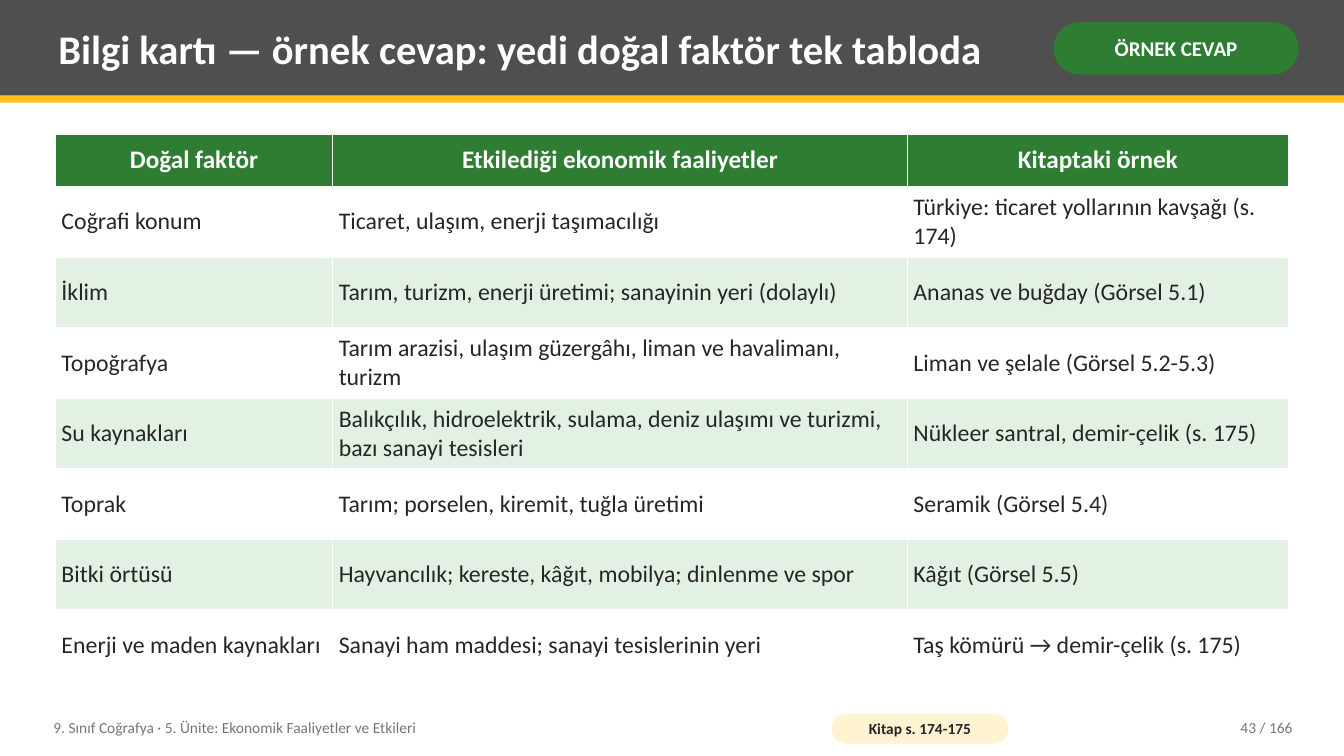
from lxml import etree
from pptx import Presentation
from pptx.dml.color import RGBColor
from pptx.enum.shapes import MSO_SHAPE
from pptx.enum.text import MSO_ANCHOR, MSO_AUTO_SIZE, PP_ALIGN
from pptx.oxml.ns import qn
from pptx.util import Inches, Pt

RECTANGLE, PILL = MSO_SHAPE.RECTANGLE, MSO_SHAPE.ROUNDED_RECTANGLE
MIDDLE, NO_AUTOFIT = MSO_ANCHOR.MIDDLE, MSO_AUTO_SIZE.NONE
LEFT, CENTER, RIGHT = PP_ALIGN.LEFT, PP_ALIGN.CENTER, PP_ALIGN.RIGHT
FONT = "Calibri"
COLORS = {
    "bar": "4F4F4F", "accent": "FCC021", "green": "2E7D32", "band": "E3F1E4",
    "cream": "FFF3D1", "white": "FFFFFF", "ink": "262626", "muted": "767676",
}
COLUMN_WIDTHS = [2.75, 5.7, 3.78]
HEADER_HEIGHT = 0.52
FACTOR_ROWS = [
    ("Doğal faktör", "Etkilediği ekonomik faaliyetler", "Kitaptaki örnek"),
    ("Coğrafi konum", "Ticaret, ulaşım, enerji taşımacılığı",
     "Türkiye: ticaret yollarının kavşağı (s. 174)"),
    ("İklim", "Tarım, turizm, enerji üretimi; sanayinin yeri (dolaylı)",
     "Ananas ve buğday (Görsel 5.1)"),
    ("Topoğrafya", "Tarım arazisi, ulaşım güzergâhı, liman ve havalimanı, turizm",
     "Liman ve şelale (Görsel 5.2-5.3)"),
    ("Su kaynakları",
     "Balıkçılık, hidroelektrik, sulama, deniz ulaşımı ve turizmi, bazı sanayi tesisleri",
     "Nükleer santral, demir-çelik (s. 175)"),
    ("Toprak", "Tarım; porselen, kiremit, tuğla üretimi", "Seramik (Görsel 5.4)"),
    ("Bitki örtüsü", "Hayvancılık; kereste, kâğıt, mobilya; dinlenme ve spor",
     "Kâğıt (Görsel 5.5)"),
    ("Enerji ve maden kaynakları", "Sanayi ham maddesi; sanayi tesislerinin yeri",
     "Taş kömürü → demir-çelik (s. 175)"),
]


def rgb(name):
    """Return the named palette colour."""
    return RGBColor.from_string(COLORS[name])


def write_text(text_frame, text, size, color, bold=False, align=LEFT):
    """Fill a text frame with one formatted paragraph."""
    text_frame.text = text
    text_frame.word_wrap = True
    paragraph = text_frame.paragraphs[0]
    paragraph.alignment = align
    font = paragraph.runs[0].font
    font.name, font.size, font.bold = FONT, Pt(size), bold
    font.color.rgb = rgb(color)


def set_margins(holder, horizontal, vertical):
    """Centre text vertically and set the insets of a frame or cell."""
    holder.vertical_anchor = MIDDLE
    holder.margin_left = holder.margin_right = Inches(horizontal)
    holder.margin_top = holder.margin_bottom = Inches(vertical)


def add_block(slide, kind, box, color):
    """Add a plain filled shape."""
    shape = slide.shapes.add_shape(kind, *map(Inches, box))
    shape.shadow.inherit = False
    shape.fill.solid()
    shape.fill.fore_color.rgb = rgb(color)
    shape.line.fill.background()
    return shape


def add_pill(slide, box, text, size, fill, color, margins):
    """Add a fully rounded label."""
    pill = add_block(slide, PILL, box, fill)
    pill.adjustments[0] = 0.5
    write_text(pill.text_frame, text, size, color, True, CENTER)
    set_margins(pill.text_frame, *margins)


def add_label(slide, box, text, align=LEFT):
    """Add a small muted footer text."""
    frame = slide.shapes.add_textbox(*map(Inches, box)).text_frame
    write_text(frame, text, 11, "muted", align=align)
    set_margins(frame, 0.08, 0.04)


def add_header(slide, box):
    """Place the title bar, accent stripe, title and badge."""
    left, top, width, height = box
    bar = add_block(slide, RECTANGLE, box, "bar")
    stripe = add_block(slide, RECTANGLE, (left, top + height, width, 0.07), "accent")
    title = slide.shapes.title
    for shape in (bar, stripe):
        title._element.addprevious(shape._element)
    title.left, title.top = Inches(left + 0.5), Inches(top + 0.07)
    title.width, title.height = Inches(9.75), Inches(0.82)
    write_text(title.text_frame, "Bilgi kartı — örnek cevap: yedi doğal faktör tek tabloda",
               29, "white", True)
    set_margins(title.text_frame, 0.08, 0.04)
    title.text_frame.auto_size = NO_AUTOFIT
    title.text_frame.paragraphs[0].line_spacing = 1.0
    add_pill(slide, (left + width - 2.88, top + 0.22, 2.43, 0.52), "ÖRNEK CEVAP",
             15, "green", "white", (0.05, 0.02))


def add_borders(cell):
    """Draw thin white lines on all sides of a cell."""
    properties = cell._tc.get_or_add_tcPr()
    for side in ("lnL", "lnR", "lnT", "lnB"):
        line = etree.SubElement(properties, qn(f"a:{side}"), w=str(Pt(0.96)))
        fill = etree.SubElement(line, qn("a:solidFill"))
        etree.SubElement(fill, qn("a:srgbClr"), val=COLORS["white"])


def add_factor_table(slide, box):
    """Place the table of natural factors with alternating row fills."""
    height = box[3]
    table = slide.shapes.add_table(len(FACTOR_ROWS), len(COLUMN_WIDTHS),
                                   *map(Inches, box)).table
    table.horz_banding = False
    for column, width in zip(table.columns, COLUMN_WIDTHS):
        column.width = Inches(width)
    body_height = (height - HEADER_HEIGHT) / (len(FACTOR_ROWS) - 1)
    for row_index, texts in enumerate(FACTOR_ROWS):
        is_header = row_index == 0
        table.rows[row_index].height = Inches(HEADER_HEIGHT if is_header else body_height)
        fill = "green" if is_header else ("band", "white")[row_index % 2]
        style = (18, "white", True, CENTER) if is_header else (17, "ink")
        for column_index, text in enumerate(texts):
            cell = table.cell(row_index, column_index)
            add_borders(cell)
            cell.fill.solid()
            cell.fill.fore_color.rgb = rgb(fill)
            write_text(cell.text_frame, text, *style)
            set_margins(cell, 0.06, 0.05)


def add_footer(slide, box):
    """Place the unit name, book page label and page number."""
    left, top, width, height = box
    add_label(slide, (left, top, 7.6, height),
              "9. Sınıf Coğrafya · 5. Ünite: Ekonomik Faaliyetler ve Etkileri")
    add_pill(slide, (left + 7.8, top + 0.04, 1.75, 0.3), "Kitap s. 174-175",
             11, "cream", "ink", (0.04, 0))
    add_label(slide, (left + width - 1.6, top, 1.6, height), "43 / 166", RIGHT)


def main():
    """Build and save the slide."""
    presentation = Presentation()
    presentation.slide_width, presentation.slide_height = Inches(13.33), Inches(7.5)
    slide = presentation.slides.add_slide(presentation.slide_layouts[5])
    add_header(slide, (0, 0, 13.33, 0.95))
    add_factor_table(slide, (0.55, 1.33, sum(COLUMN_WIDTHS), 5.42))
    add_footer(slide, (0.45, 7.04, 12.45, 0.36))
    presentation.save("out.pptx")


if __name__ == "__main__":
    main()
